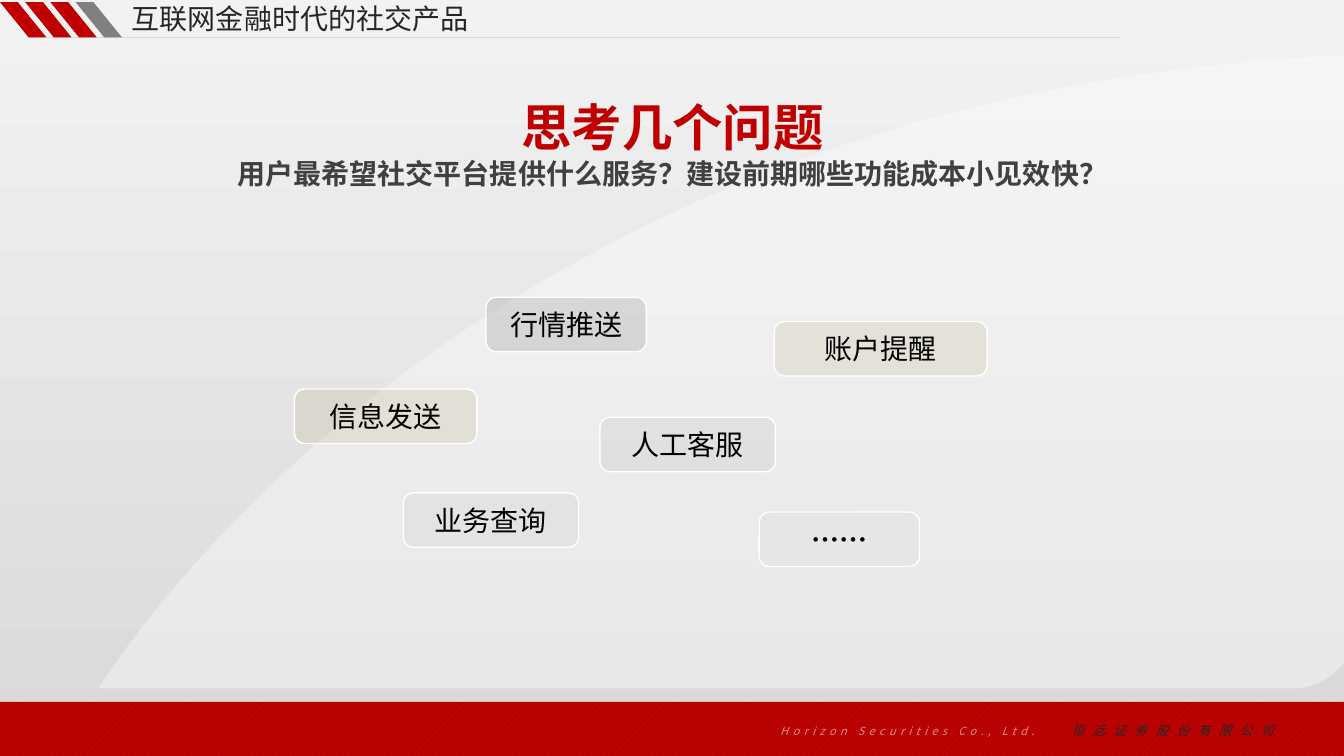
from dataclasses import dataclass

from lxml.etree import SubElement
from pptx import Presentation
from pptx.dml.color import RGBColor
from pptx.dml.fill import FillFormat
from pptx.enum.dml import MSO_PATTERN
from pptx.enum.shapes import MSO_CONNECTOR, MSO_SHAPE
from pptx.enum.text import MSO_ANCHOR, PP_ALIGN
from pptx.oxml.ns import qn
from pptx.shapes.autoshape import Shape
from pptx.slide import Slide
from pptx.text.text import TextFrame, _Paragraph
from pptx.util import Inches, Pt

FONT = "Noto Sans CJK SC"
Point = tuple[float, float]


@dataclass(frozen=True)
class Service:
    name: str
    left: float
    top: float
    width: float
    tint: str
    opacity: int
    bold: bool = False


@dataclass(frozen=True)
class Line:
    text: str
    size: int
    tint: str
    bold: bool = False


@dataclass(frozen=True)
class Company:
    text: str
    size: int
    tint: str
    spacing: int


SERVICES = [
    Service("行情推送", 4.82, 2.95, 1.59, "767171", 20),
    Service("人工客服", 5.95, 4.14, 1.74, "BFBFBF", 26),
    Service("……", 7.53, 5.08, 1.59, "BFBFBF", 10, True),
    Service("信息发送", 2.92, 3.86, 1.81, "826A12", 10),
    Service("账户提醒", 7.68, 3.19, 2.11, "826A12", 10),
    Service("业务查询", 4, 4.89, 1.74, "D9D9D9", 42),
]
STRIPES = ["C00000", "C00000", "C00000", "808080"]
HEADER = [Line("互联网金融时代的社交产品", 20, "262626")]
QUESTIONS = [
    Line("思考几个问题", 36, "C00000", True),
    Line("用户最希望社交平台提供什么服务？建设前期哪些功能成本小见效快？", 20, "404040", True),
]
COMPANY_NAMES = [
    Company("Horizon Securities Co., Ltd.", 8, "DE8B8B", 300),
    Company("\t恒远证券股份有限公司", 9, "262626", 600),
]


def color(code: str) -> RGBColor:
    return RGBColor.from_string(code)


def paint(fill: FillFormat, tint: str) -> None:
    fill.solid()
    fill.fore_color.rgb = color(tint)


def set_opacity(shape: Shape, percent: int) -> None:
    tint = shape._element.spPr.find(qn("a:solidFill"))[0]
    SubElement(tint, qn("a:alpha"), val=str(percent * 1000))


def add_panel(slide: Slide, preset: MSO_SHAPE, left: float, top: float,
              width: float, height: float) -> Shape:
    panel = slide.shapes.add_shape(
        preset, Inches(left), Inches(top), Inches(width), Inches(height))
    panel.shadow.inherit = False
    panel.line.fill.background()
    return panel


def add_outline(slide: Slide, points: list[Point], tint: str) -> Shape:
    corners = [(Inches(x), Inches(y)) for x, y in points]
    builder = slide.shapes.build_freeform(*corners[0], scale=1.0)
    builder.add_line_segments(corners[1:], close=True)
    outline = builder.convert_to_shape()
    outline.shadow.inherit = False
    outline.line.fill.background()
    paint(outline.fill, tint)
    return outline


def curve(start: Point, pull: Point, push: Point, end: Point, steps: int = 60) -> list[Point]:
    def at(t: float, axis: int) -> float:
        return ((1 - t) ** 3 * start[axis] + 3 * (1 - t) ** 2 * t * pull[axis]
                + 3 * (1 - t) * t ** 2 * push[axis] + t ** 3 * end[axis])

    return [(at(i / steps, 0), at(i / steps, 1)) for i in range(steps + 1)]


def set_font(paragraph: _Paragraph) -> None:
    paragraph.font.name = FONT
    SubElement(paragraph._p.pPr.find(qn("a:defRPr")), qn("a:ea"), typeface=FONT)


def write_line(paragraph: _Paragraph, line: Line, align: PP_ALIGN) -> None:
    paragraph.text = line.text
    paragraph.alignment = align
    paragraph.font.size = Pt(line.size)
    paragraph.font.bold = line.bold
    paragraph.font.color.rgb = color(line.tint)
    set_font(paragraph)


def add_text_frame(slide: Slide, left: float, top: float, width: float,
                   height: float) -> TextFrame:
    frame = slide.shapes.add_textbox(
        Inches(left), Inches(top), Inches(width), Inches(height)).text_frame
    frame.word_wrap = True
    frame.vertical_anchor = MSO_ANCHOR.MIDDLE
    return frame


def write_lines(frame: TextFrame, lines: list[Line], align: PP_ALIGN) -> None:
    for index, line in enumerate(lines):
        paragraph = frame.add_paragraph() if index else frame.paragraphs[0]
        write_line(paragraph, line, align)


def draw_backdrop(slide: Slide) -> None:
    backdrop = slide.background.fill
    backdrop.gradient()
    backdrop.gradient_angle = 90
    for stop, tint in zip(backdrop.gradient_stops, ["D9D9D9", "F2F2F2"]):
        stop.color.rgb = color(tint)
    sweep = curve((0.92, 6.92), (0.92, 6.92), (4.41, 0.92), (13.33, 0.55))
    set_opacity(add_outline(slide, sweep + [(13.33, 6.96)], "FFFFFF"), 37)


def draw_footer(slide: Slide) -> None:
    band = add_panel(slide, MSO_SHAPE.RECTANGLE, 0, 6.96, 13.37, 0.54)
    band.fill.patterned()
    band.fill.pattern = MSO_PATTERN.WIDE_UPWARD_DIAGONAL
    band.fill.fore_color.rgb = color("BD1515")
    band.fill.back_color.rgb = color("B80000")
    corner = curve((12.83, 6.83), (13.04, 6.83), (13.23, 6.72), (13.34, 6.56), 16)
    add_outline(slide, [(13.37, 6.51), (13.37, 6.96), (0, 6.96), (0, 6.83)] + corner, "D9D9D9")

    credit = add_text_frame(slide, 7.64, 7.07, 5.7, 0.36).paragraphs[0]
    credit.alignment = PP_ALIGN.JUSTIFY
    tabs = SubElement(credit._p.get_or_add_pPr(), qn("a:tabLst"))
    SubElement(tabs, qn("a:tab"), pos=str(Inches(2.89)), algn="l")
    credit.font.italic = True
    set_font(credit)
    for company in COMPANY_NAMES:
        run = credit.add_run()
        run.text = company.text
        run.font.size = Pt(company.size)
        run.font.color.rgb = color(company.tint)
        run._r.get_or_add_rPr().set("spc", str(company.spacing))


def draw_header(slide: Slide) -> None:
    rule = slide.shapes.add_connector(
        MSO_CONNECTOR.STRAIGHT, Inches(0.29), Inches(0.37), Inches(11.11), Inches(0.37))
    rule.line.color.rgb = color("D9D9D9")
    rule.line.width = Pt(0.5)
    SubElement(rule._element.spPr, qn("a:effectLst"))
    for index, tint in enumerate(STRIPES):
        stripe = add_panel(slide, MSO_SHAPE.PARALLELOGRAM, 0.25 * index, 0.02, 0.46, 0.35)
        stripe.adjustments[0] = 0.81
        stripe._element.spPr.find(qn("a:xfrm")).set("flipH", "1")
        paint(stripe.fill, tint)
    write_lines(add_text_frame(slide, 1.21, 0, 4.94, 0.36), HEADER, PP_ALIGN.LEFT)


def draw_service(slide: Slide, service: Service) -> None:
    card = add_panel(slide, MSO_SHAPE.ROUNDED_RECTANGLE,
                     service.left, service.top, service.width, 0.54)
    card.adjustments[0] = 0.19
    paint(card.fill, service.tint)
    set_opacity(card, service.opacity)
    paint(card.line.fill, "FFFFFF")
    card.line.width = Pt(1)
    frame = card.text_frame
    frame.margin_left = frame.margin_right = frame.margin_top = frame.margin_bottom = 0
    frame.word_wrap = False
    frame.vertical_anchor = MSO_ANCHOR.MIDDLE
    write_lines(frame, [Line(service.name, 20, "000000", service.bold)], PP_ALIGN.CENTER)


def main() -> None:
    deck = Presentation()
    deck.slide_width, deck.slide_height = Inches(13.33), Inches(7.5)
    slide = deck.slides.add_slide(deck.slide_layouts[6])
    draw_backdrop(slide)
    draw_footer(slide)
    draw_header(slide)
    write_lines(add_text_frame(slide, 1.95, 0.79, 9.44, 1.25), QUESTIONS, PP_ALIGN.CENTER)
    for service in SERVICES:
        draw_service(slide, service)
    deck.save("out.pptx")


if __name__ == "__main__":
    main()
